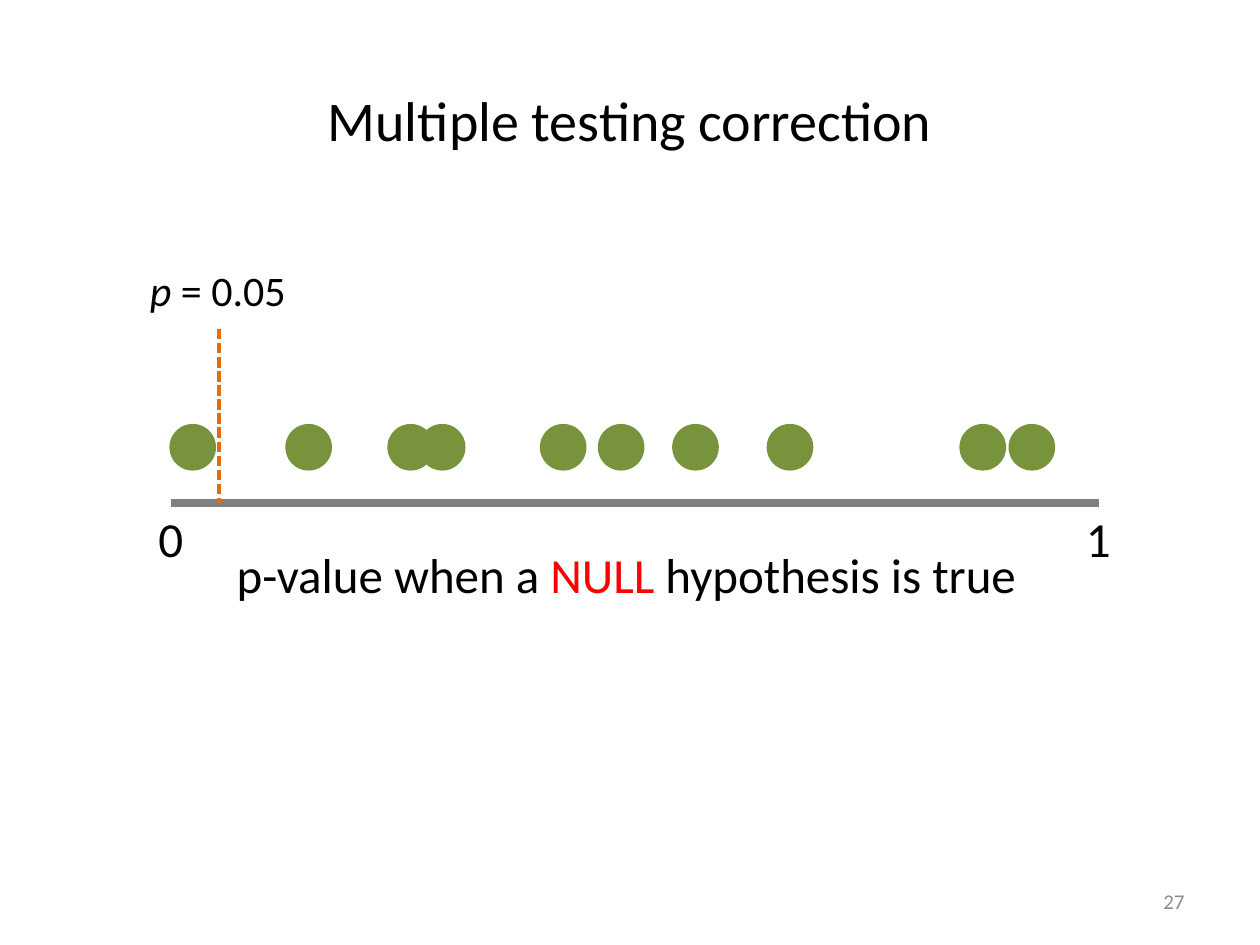
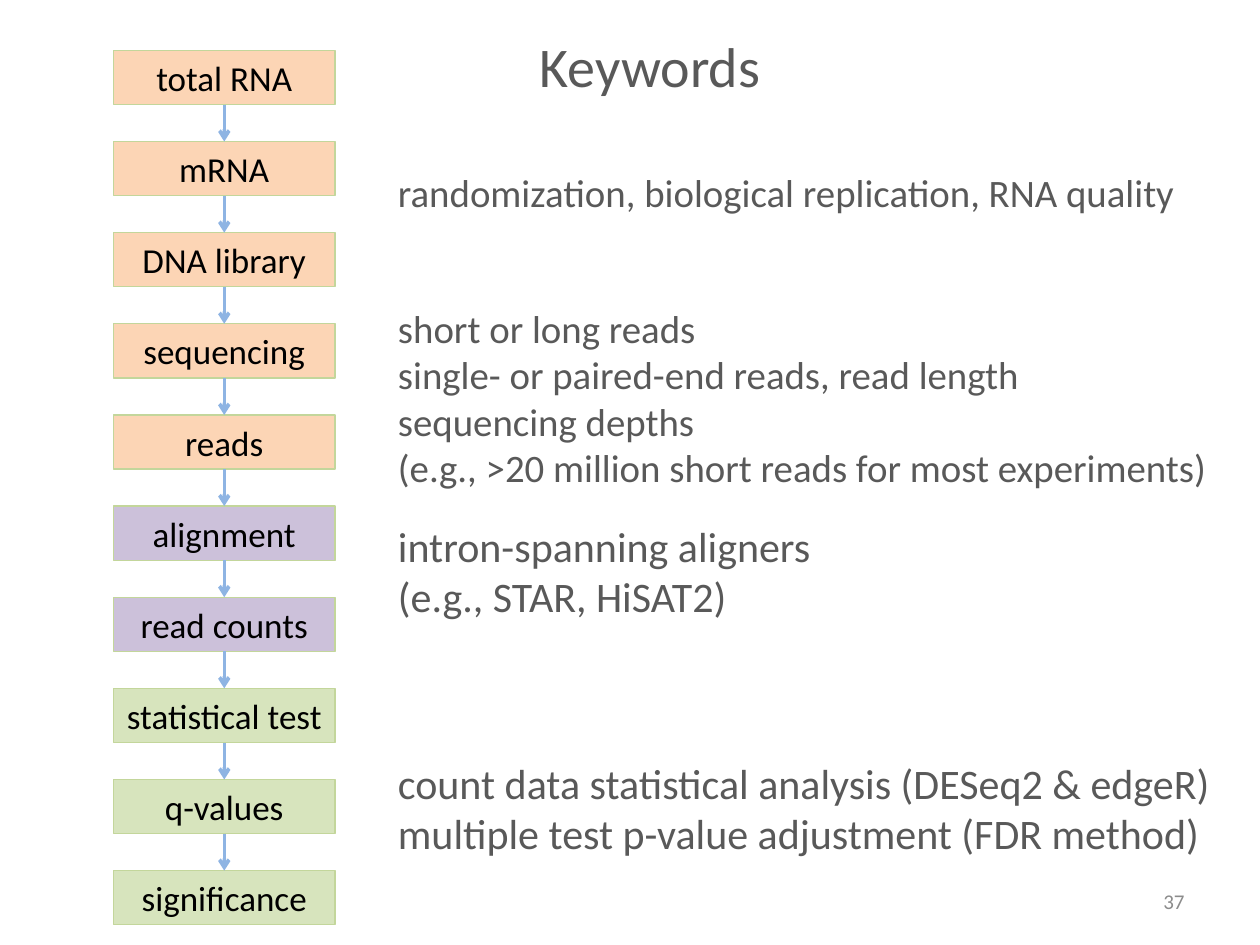
from dataclasses import dataclass
from itertools import pairwise

from lxml import etree
from pptx import Presentation
from pptx.dml.color import RGBColor
from pptx.enum.dml import MSO_LINE
from pptx.enum.shapes import MSO_CONNECTOR, MSO_SHAPE
from pptx.enum.text import MSO_ANCHOR, MSO_AUTO_SIZE, PP_ALIGN
from pptx.oxml.ns import qn
from pptx.util import Inches, Pt

STRAIGHT = MSO_CONNECTOR.STRAIGHT
RECTANGLE, OVAL = MSO_SHAPE.RECTANGLE, MSO_SHAPE.OVAL
SHORT_DASH = MSO_LINE.SQUARE_DOT
TOP, MIDDLE = MSO_ANCHOR.TOP, MSO_ANCHOR.MIDDLE
LEFT, CENTER, RIGHT = PP_ALIGN.LEFT, PP_ALIGN.CENTER, PP_ALIGN.RIGHT
NO_AUTOFIT = MSO_AUTO_SIZE.NONE
TITLE_ONLY = 5


@dataclass(frozen=True)
class Theme:
    font: str = "Calibri"
    black: str = "000000"
    dark: str = "595959"
    pale: str = "8C8C8C"
    accent: str = "FF0000"
    axis: str = "808080"
    dot: str = "77933C"
    threshold: str = "E46C0A"
    arrow: str = "8EB4E3"
    step_line: str = "C3D69B"
    wet_lab: str = "FCD5B5"
    mapping: str = "CCC1DA"
    statistics: str = "D7E4BD"
    title: float = 32
    axis_text: float = 28
    large: float = 24
    medium: float = 22.2
    step_text: float = 20
    footer: float = 12


@dataclass(frozen=True)
class Box:
    left: float
    top: float
    width: float
    height: float

    def lengths(self):
        return [Inches(n) for n in (self.left, self.top, self.width, self.height)]


THEME = Theme()
NUMBER_BOX = Box(7.17, 6.95, 2.33, 0.4)


# Text helpers
def write(shape, paragraphs, size, color=THEME.black, align=LEFT, anchor=TOP, wrap=True):
    """Each paragraph is a list of (text, font overrides) spans."""
    frame = shape.text_frame
    layout = {"word_wrap": wrap, "auto_size": NO_AUTOFIT, "vertical_anchor": anchor}
    for name, value in layout.items():
        setattr(frame, name, value)
    for index, spans in enumerate(paragraphs):
        para = frame.add_paragraph() if index else frame.paragraphs[0]
        para.alignment = align
        for text, changes in spans:
            span = para.add_run()
            span.text = text
            look = {"name": THEME.font, "size": Pt(size), "color": color} | changes
            span.font.color.rgb = RGBColor.from_string(look.pop("color"))
            for name, value in look.items():
                setattr(span.font, name, value)


def plain(*lines):
    return [[(line, {})] for line in lines]


def add_text(page, box, paragraphs, size, **options):
    write(page.shapes.add_textbox(*box.lengths()), paragraphs, size, **options)


# Shape helpers
def add_filled(page, kind, box, fill, line):
    shape = page.shapes.add_shape(kind, *box.lengths())
    shape.shadow.inherit = False
    shape.fill.solid()
    shape.fill.fore_color.rgb = RGBColor.from_string(fill)
    shape.line.color.rgb = RGBColor.from_string(line)
    shape.line.width = Pt(0.75)
    return shape


def add_line(page, start, end, color, width, dash=None, arrow=False):
    points = [Inches(n) for n in (*start, *end)]
    connector = page.shapes.add_connector(STRAIGHT, *points)
    connector.line.color.rgb = RGBColor.from_string(color)
    connector.line.width = Pt(width)
    if dash is not None:
        connector.line.dash_style = dash
    if arrow:
        outline = connector.line._get_or_add_ln()
        etree.SubElement(outline, qn("a:tailEnd"), type="arrow")
    etree.SubElement(connector._element.spPr, qn("a:effectLst"))


# Parts shared by all pages
def add_page(deck, title, title_box, title_color, number):
    page = deck.slides.add_slide(deck.slide_layouts[TITLE_ONLY])
    heading = page.shapes.title
    heading.left, heading.top, heading.width, heading.height = title_box.lengths()
    write(heading, plain(title), THEME.title, color=title_color, align=CENTER, anchor=MIDDLE)
    add_text(page, NUMBER_BOX, plain(number), THEME.footer,
             color=THEME.pale, align=RIGHT, anchor=MIDDLE)
    return page


# Number line of p-values; its axis runs along the bottom of the box
def draw_p_value_axis(page, box):
    left, axis_y = box.left, box.top + box.height
    right = left + box.width
    threshold_x = left + 0.38
    diameter = 0.36
    dot_centers = (0.17, 1.09, 1.9, 2.15, 3.11, 3.57, 4.16, 4.91, 6.44, 6.83)

    add_line(page, (left, axis_y), (right, axis_y), THEME.axis, 4.5)
    for center in dot_centers:
        dot = Box(left + center - diameter / 2, axis_y - 0.62, diameter, diameter)
        add_filled(page, OVAL, dot, THEME.dot, THEME.dot)
    add_line(page, (threshold_x, box.top), (threshold_x, axis_y),
             THEME.threshold, 2, dash=SHORT_DASH)

    # Labels
    for text, x in (("0", left), ("1", right)):
        add_text(page, Box(x - 0.2, axis_y, 0.4, 0.57), plain(text),
                 THEME.axis_text, wrap=False)
    caption = [[("p-value when a ", {}), ("NULL", {"color": THEME.accent}),
                (" hypothesis is true", {})]]
    add_text(page, Box(left + 0.42, axis_y + 0.28, 6.63, 0.57), caption,
             THEME.axis_text, wrap=False)
    add_text(page, Box(threshold_x - 0.65, box.top - 0.56, 1.31, 0.5),
             [[("p", {"italic": True}), (" = 0.05", {})]], THEME.large, wrap=False)


# Column of workflow steps joined by arrows
def draw_workflow(page, box):
    steps = [(name, color) for color, names in (
        (THEME.wet_lab, ("total RNA", "mRNA", "DNA library", "sequencing", "reads")),
        (THEME.mapping, ("alignment", "read counts")),
        (THEME.statistics, ("statistical test", "q-values", "significance")),
    ) for name in names]
    step_height = 0.43
    pitch = (box.height - step_height) / (len(steps) - 1)
    tops = [box.top + index * pitch for index in range(len(steps))]
    for (name, color), top in zip(steps, tops):
        step = add_filled(page, RECTANGLE, Box(box.left, top, box.width, step_height),
                          color, THEME.step_line)
        for side in ("left", "top", "right", "bottom"):
            setattr(step.text_frame, f"margin_{side}", 0)
        write(step, plain(name), THEME.step_text, align=CENTER, anchor=MIDDLE)
    middle = box.left + box.width / 2
    for top, next_top in pairwise(tops):
        add_line(page, (middle, top + step_height), (middle, next_top),
                 THEME.arrow, 2, arrow=True)


# Keyword notes beside the workflow: offset from the top, height, size, lines
def draw_keywords(page, box):
    notes = (
        (0, 0.63, THEME.medium, ("randomization, biological replication, RNA quality",)),
        (1.08, 1.73, THEME.medium, (
            "short or long reads",
            "single- or paired-end reads, read length",
            "sequencing depths",
            "(e.g., >20 million short reads for most experiments)")),
        (2.81, 1.02, THEME.large, ("intron-spanning aligners", "(e.g., STAR, HiSAT2)")),
        (4.69, 1.02, THEME.large, (
            "count data statistical analysis (DESeq2 & edgeR)",
            "multiple test p-value adjustment (FDR method)")),
    )
    for offset, height, size, lines in notes:
        add_text(page, Box(box.left, box.top + offset, box.width, height),
                 plain(*lines), size, color=THEME.dark, anchor=MIDDLE)


def main():
    deck = Presentation()
    deck.slide_width, deck.slide_height = Inches(10), Inches(7.5)

    testing = add_page(deck, "Multiple testing correction", Box(0.5, 0.45, 9, 0.99),
                       THEME.black, "27")
    draw_p_value_axis(testing, Box(1.36, 2.61, 7.36, 1.38))

    keywords = add_page(deck, "Keywords", Box(3.53, 0.2, 3.26, 0.63), THEME.dark, "37")
    draw_workflow(keywords, Box(0.9, 0.4, 1.76, 6.94))
    draw_keywords(keywords, Box(3.06, 1.21, 6.81, 5.71))

    deck.save("out.pptx")


if __name__ == "__main__":
    main()
